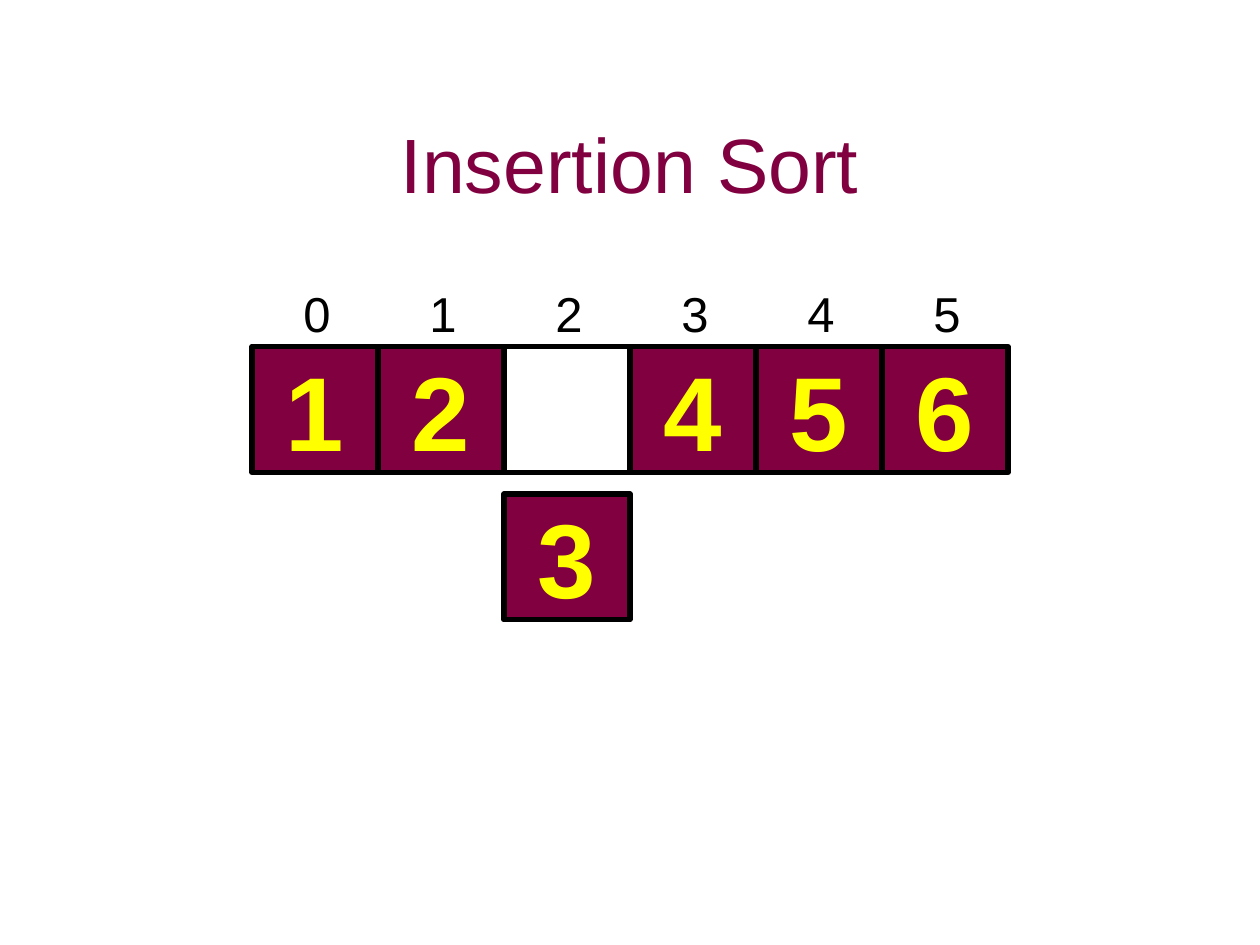
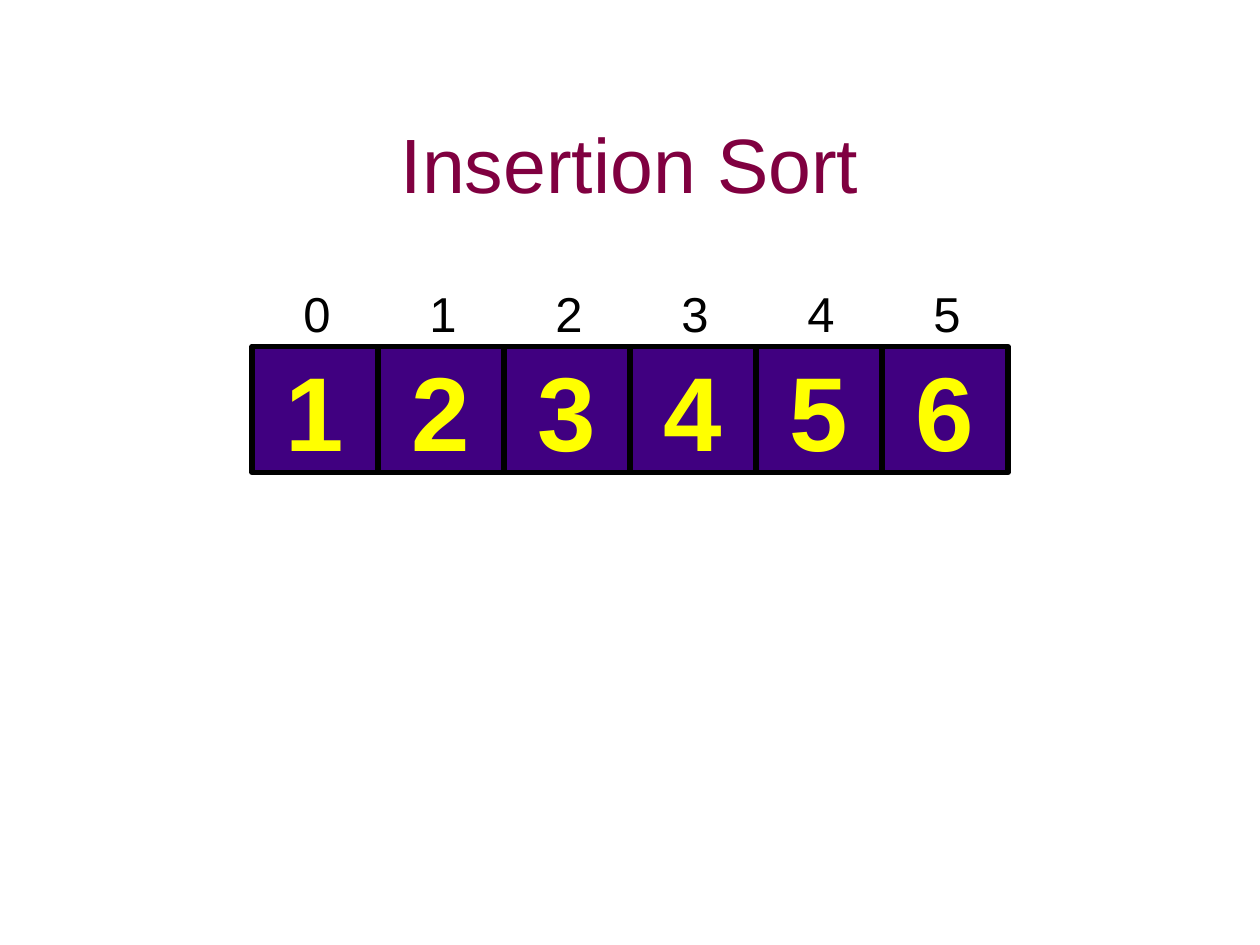
"""Build two slides that show the last step of an insertion sort."""
from pptx import Presentation
from pptx.dml.color import RGBColor
from pptx.enum import shapes, text
from pptx.util import Inches, Pt

FONT = "Arial"
WINE, PURPLE, YELLOW, BLACK = "800040", "400080", "FFFF00", "000000"
CELL = 1
ROW_LEFT, ROW_TOP = 2, 2.75
HELD_TOP = 3.92


def paint(target, color):
    """Set a fill or font colour from a hex string."""
    target.rgb = RGBColor.from_string(color)


def write(frame, words, size, color, align, bold=False):
    """Add one formatted run to the first paragraph of a frame."""
    para = frame.paragraphs[0]
    para.alignment = align
    run = para.add_run()
    run.text = words
    run.font.name = FONT
    run.font.size = Pt(size)
    run.font.bold = bold
    paint(run.font.color, color)


def add_title(slide, words, left, top, width, height):
    """Place and format the title placeholder."""
    title = slide.shapes.title
    title.left, title.top = Inches(left), Inches(top)
    title.width, title.height = Inches(width), Inches(height)
    title.text_frame.vertical_anchor = text.MSO_ANCHOR.MIDDLE
    write(title.text_frame, words, 44, WINE, text.PP_ALIGN.CENTER)


def add_index(slide, index, left, top):
    """Write an array index above the cell at the given corner."""
    box = slide.shapes.add_textbox(
        Inches(left + 0.31), Inches(top - 0.55), Inches(0.41), Inches(0.57))
    frame = box.text_frame
    frame.word_wrap = False
    frame.auto_size = text.MSO_AUTO_SIZE.SHAPE_TO_FIT_TEXT
    write(frame, str(index), 28, BLACK, text.PP_ALIGN.LEFT)


def add_cell(slide, value, fill, left, top):
    """Draw one array cell, left hollow when it has no value."""
    cell = slide.shapes.add_shape(
        shapes.MSO_SHAPE.RECTANGLE,
        Inches(left), Inches(top), Inches(CELL), Inches(CELL))
    cell.shadow.inherit = False
    paint(cell.line.color, BLACK)
    cell.line.width = Pt(3)
    if value is None:
        cell.fill.background()
        return
    cell.fill.solid()
    paint(cell.fill.fore_color, fill)
    frame = cell.text_frame
    frame.word_wrap = False
    frame.vertical_anchor = text.MSO_ANCHOR.MIDDLE
    write(frame, str(value), 60, YELLOW, text.PP_ALIGN.CENTER, bold=True)


def add_array(slide, values, fill, left, top):
    """Draw a row of cells with their indices, hollow cells at the back."""
    for index in range(len(values)):
        add_index(slide, index, left + index * CELL, top)
    order = sorted(enumerate(values), key=lambda pair: pair[1] is not None)
    for index, value in order:
        add_cell(slide, value, fill, left + index * CELL, top)


def add_step(deck, values, fill):
    """Add a titled slide with the array and return it."""
    slide = deck.slides.add_slide(deck.slide_layouts[5])
    add_title(slide, "Insertion Sort", 0.75, 0.67, 8.5, 1.25)
    add_array(slide, values, fill, ROW_LEFT, ROW_TOP)
    return slide


def main():
    """Build and save the deck."""
    deck = Presentation()
    deck.slide_width, deck.slide_height = Inches(10), Inches(7.5)
    values = [1, 2, None, 4, 5, 6]
    step = add_step(deck, values, WINE)
    gap = values.index(None)
    add_cell(step, 3, WINE, ROW_LEFT + gap * CELL, HELD_TOP)
    add_step(deck, [1, 2, 3, 4, 5, 6], PURPLE)
    deck.save("out.pptx")


if __name__ == "__main__":
    main()
